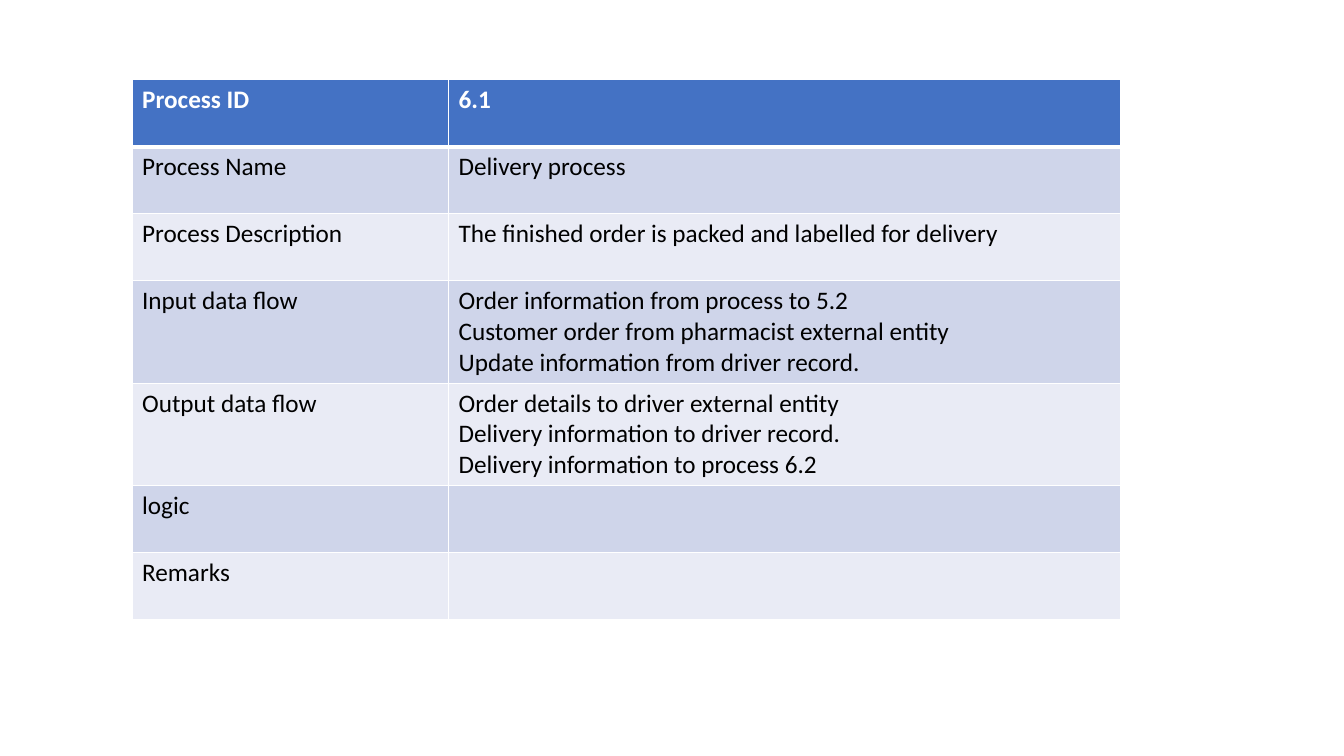
import pptx
import pptx.util
import pptx.dml.color
import pptx.oxml.ns
import lxml.etree

Inches = pptx.util.Inches
Pt = pptx.util.Pt


def color(value):
    return pptx.dml.color.RGBColor.from_string(value)


def write(para, text, *, size=18, font="Calibri", ink="000000", bold=False):
    span = para.add_run()
    span.text = text
    span.font.size = Pt(size)
    span.font.name = font
    span.font.bold = bold
    span.font.color.rgb = color(ink)


deck = pptx.Presentation()
deck.slide_width, deck.slide_height = Inches(13.33), Inches(7.5)
page = deck.slides.add_slide(deck.slide_layouts[6])

# Process details: label and lines of content
process_rows = [
    ("Process ID", ["6.1"]),
    ("Process Name", ["Delivery process"]),
    ("Process Description", ["The finished order is packed and labelled for delivery"]),
    ("Input data flow", ["Order information from process to 5.2",
                         "Customer order from pharmacist external entity",
                         "Update information from driver record."]),
    ("Output data flow", ["Order details to driver external entity",
                          "Delivery information to driver record.",
                          "Delivery information to process 6.2"]),
    ("logic", []),
    ("Remarks", []),
]

# Table frame
frame = page.shapes.add_table(len(process_rows), 2, Inches(1.31), Inches(0.79),
                              Inches(9.8), Inches(5.33))
table = frame.table
table.columns[0].width = Inches(3.14)
table.columns[1].width = Inches(6.66)

# Rows: blue header, then alternating bands
for index, (label, details) in enumerate(process_rows):
    header = index == 0
    table.rows[index].height = Inches(1 if len(details) > 1 else 0.665)
    band = "4472C4" if header else ("E9EBF5", "CFD5EA")[index % 2]
    for cell, lines in zip(table.rows[index].cells, ([label], details)):
        # White cell borders, thicker between header and body
        properties = cell._tc.get_or_add_tcPr()
        for side in "LRTB":
            thick = (header and side == "B") or (index == 1 and side == "T")
            line = lxml.etree.SubElement(properties, pptx.oxml.ns.qn("a:ln" + side),
                                         w=str(Pt(3 if thick else 1)))
            fill = lxml.etree.SubElement(line, pptx.oxml.ns.qn("a:solidFill"))
            lxml.etree.SubElement(fill, pptx.oxml.ns.qn("a:srgbClr"), val="FFFFFF")
        cell.fill.solid()
        cell.fill.fore_color.rgb = color(band)

        # Cell text
        for number, text in enumerate(lines):
            box = cell.text_frame
            para = box.add_paragraph() if number else box.paragraphs[0]
            write(para, text, ink="FFFFFF" if header else "000000", bold=header)

deck.save("out.pptx")
